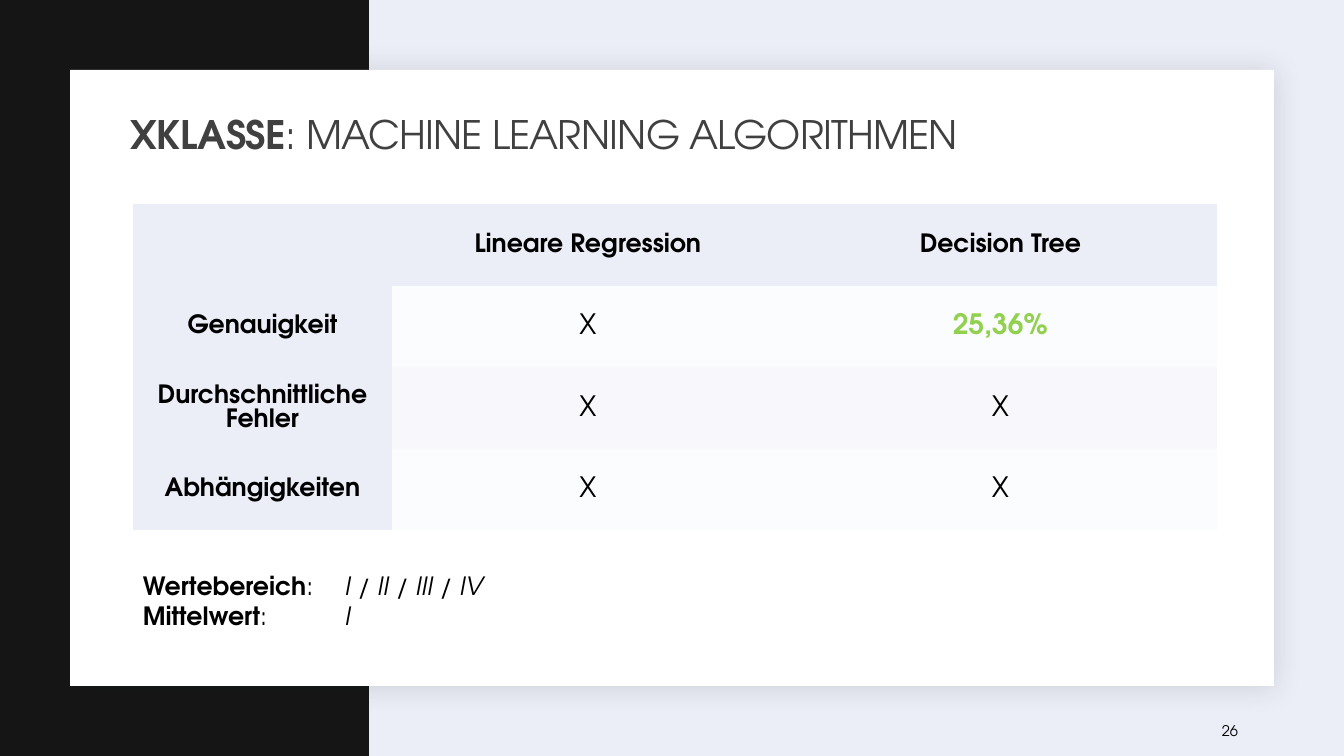
import pptx
import pptx.util
import pptx.dml.color
import pptx.enum.shapes
import pptx.enum.text
import pptx.oxml
import pptx.oxml.ns

RGB = pptx.dml.color.RGBColor
BLACK = RGB(0x00, 0x00, 0x00)
WHITE = RGB(0xFF, 0xFF, 0xFF)
INK = RGB(0x14, 0x15, 0x14)
GREY = RGB(0x40, 0x40, 0x40)
GREEN = RGB(0x92, 0xD0, 0x50)
LAVENDER = RGB(0xEC, 0xEE, 0xF7)
BAND_LIGHT = RGB(0xFB, 0xFC, 0xFD)
BAND_DARK = RGB(0xF8, 0xF8, 0xFC)
FONT = "TeX Gyre Adventor"
NO_STYLE = "{2D5ABB26-0587-4C30-8999-92F81FD0307C}"

# Paragraphs are lists of (text, format) runs
TITLE = [[("XKLASSE", {"bold": True}), (": MACHINE LEARNING ALGORITHMEN", {})]]
ROWS = [
    ["", "Lineare Regression", "Decision Tree"],
    ["Genauigkeit", "X", "25,36%"],
    ["Durchschnittliche Fehler", "X", "X"],
    ["Abhängigkeiten", "X", "X"],
]
HIGHLIGHT = "25,36%"
NOTES = [
    [(label, {"bold": True}), (":\t", {}), (value, {"italic": True})]
    for label, value in [("Wertebereich", "I / II / III / IV"), ("Mittelwert", "I")]
]
PAGE = "26"

# Lengths in px
SLIDE_W, SLIDE_H = 1344, 756
SIDE_BAR = (0, 0, 369, SLIDE_H)
CARD = (70, 70, 1204, 616)
TABLE_LEFT, TABLE_TOP = 133, 204
COL_WIDTHS = [259, 392, 433]
ROW_HEIGHTS = [82, 81, 82, 81]
NOTES_TAB = 202

MIDDLE = pptx.enum.text.MSO_ANCHOR.MIDDLE
TOP = pptx.enum.text.MSO_ANCHOR.TOP


def px(n):
    return pptx.util.Emu(round(n * 914400 / 100.8))


def add_run(p, text, size=18, color=BLACK, bold=False, italic=False, spacing=None):
    r = p.add_run()
    r.text = text
    r.font.name = FONT
    r.font.size = pptx.util.Pt(size)
    r.font.color.rgb = color
    r.font.bold = bold
    r.font.italic = italic
    if spacing is not None:
        r._r.get_or_add_rPr().set("spc", str(spacing))


def add_tab_stop(p, position):
    p._p.get_or_add_pPr().append(pptx.oxml.parse_xml(
        f'<a:tabLst {pptx.oxml.ns.nsdecls("a")}>'
        f'<a:tab pos="{px(position)}" algn="l"/></a:tabLst>'))


def add_text(s, box, paragraphs, anchor=TOP, line_spacing=None, tab=None, **fmt):
    tf = s.shapes.add_textbox(*map(px, box)).text_frame
    tf.word_wrap = True
    tf.vertical_anchor = anchor
    for i, runs in enumerate(paragraphs):
        p = tf.add_paragraph() if i else tf.paragraphs[0]
        p.line_spacing = line_spacing
        if tab:
            add_tab_stop(p, tab)
        for text, own in runs:
            add_run(p, text, **{**fmt, **own})


def add_rect(s, box, color):
    sp = s.shapes.add_shape(pptx.enum.shapes.MSO_SHAPE.RECTANGLE, *map(px, box))
    sp.shadow.inherit = False
    sp.fill.solid()
    sp.fill.fore_color.rgb = color
    sp.line.fill.background()
    return sp


def add_soft_shadow(sp):
    effects = sp._element.spPr.find(pptx.oxml.ns.qn("a:effectLst"))
    effects.append(pptx.oxml.parse_xml(
        f'<a:outerShdw {pptx.oxml.ns.nsdecls("a")} blurRad="254000" dist="25400" '
        'dir="2700000" algn="tl" rotWithShape="0"><a:srgbClr val="1F2125">'
        '<a:alpha val="15000"/></a:srgbClr></a:outerShdw>'))


def fill_cell(cell, text, row, col):
    header = row == 0 or col == 0
    cell.fill.solid()
    cell.fill.fore_color.rgb = (
        LAVENDER if header else BAND_LIGHT if row % 2 else BAND_DARK)
    cell.vertical_anchor = MIDDLE
    cell.margin_left = cell.margin_right = cell.margin_top = px(1)
    cell.margin_bottom = 0
    p = cell.text_frame.paragraphs[0]
    p.alignment = pptx.enum.text.PP_ALIGN.CENTER
    if not text:
        return
    marked = text == HIGHLIGHT
    add_run(p, text, size=18 if header else 20, bold=header or marked,
            color=GREEN if marked else BLACK)


def add_results(s):
    table = s.shapes.add_table(
        len(ROWS), len(COL_WIDTHS), px(TABLE_LEFT), px(TABLE_TOP),
        px(sum(COL_WIDTHS)), px(sum(ROW_HEIGHTS))).table
    table.first_row = table.horz_banding = False
    table._tbl.tblPr.find(pptx.oxml.ns.qn("a:tableStyleId")).text = NO_STYLE
    for column, width in zip(table.columns, COL_WIDTHS):
        column.width = px(width)
    for i, (height, texts) in enumerate(zip(ROW_HEIGHTS, ROWS)):
        table.rows[i].height = px(height)
        for j, text in enumerate(texts):
            fill_cell(table.cell(i, j), text, i, j)


def main():
    prs = pptx.Presentation()
    prs.slide_width, prs.slide_height = px(SLIDE_W), px(SLIDE_H)
    s = prs.slides.add_slide(prs.slide_layouts[6])
    s.background.fill.solid()
    s.background.fill.fore_color.rgb = LAVENDER

    add_rect(s, SIDE_BAR, INK)
    add_soft_shadow(add_rect(s, CARD, WHITE))
    add_results(s)
    add_text(s, (1212, 711, 86, 40), [[(PAGE, {})]], anchor=MIDDLE, size=10.5)
    add_text(s, (121, 105, 1109, 64), TITLE, anchor=MIDDLE, line_spacing=0.9,
             size=28, color=GREY, spacing=-50)
    add_text(s, (TABLE_LEFT, 565, 435, 71), NOTES, tab=NOTES_TAB)
    prs.save("out.pptx")


if __name__ == "__main__":
    main()
